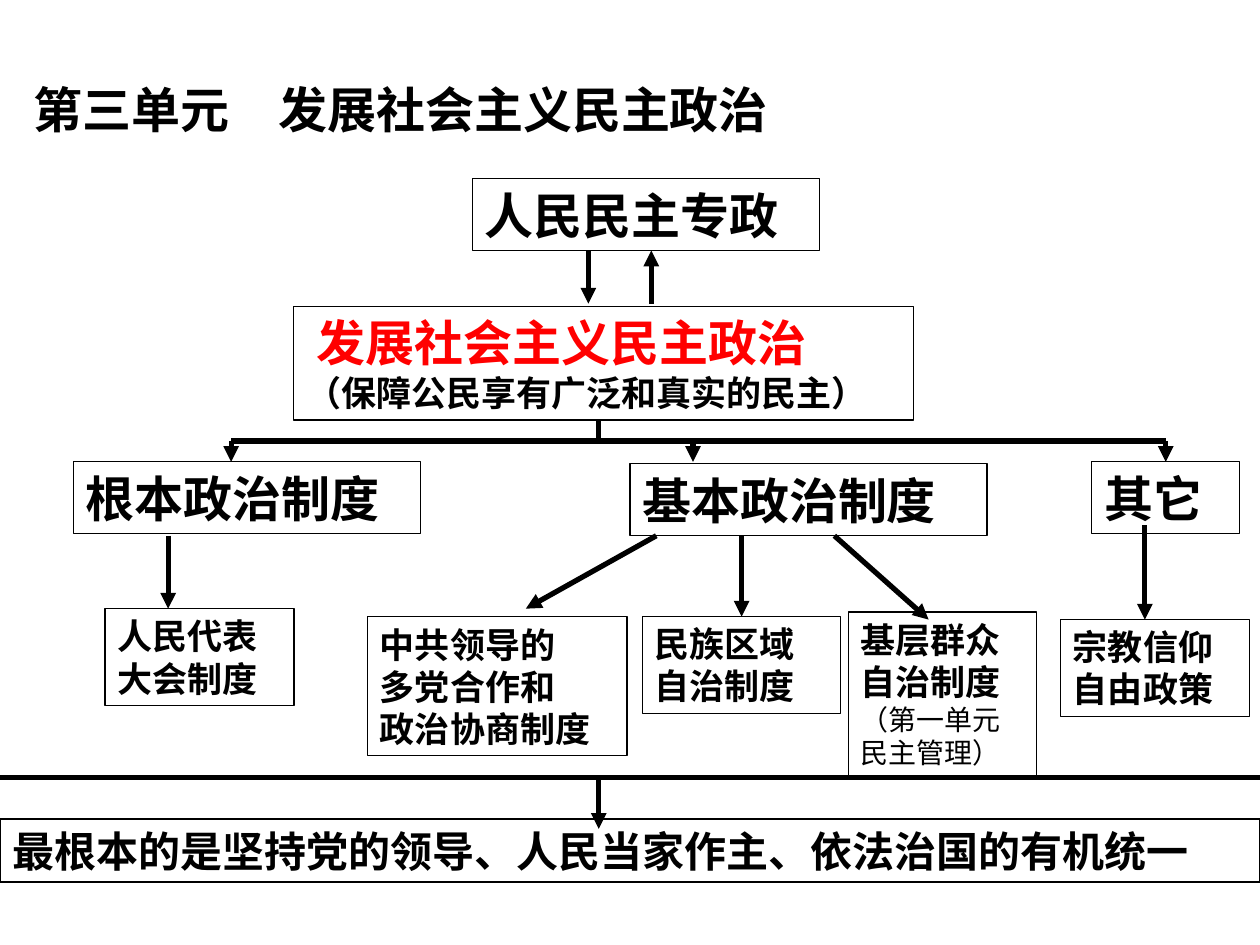
from lxml import etree
from pptx import Presentation
from pptx.dml.color import RGBColor
from pptx.enum.shapes import MSO_CONNECTOR, MSO_SHAPE
from pptx.enum.text import MSO_ANCHOR, PP_ALIGN
from pptx.oxml.ns import qn
from pptx.util import Cm, Pt

LEFT = PP_ALIGN.LEFT
MIDDLE = MSO_ANCHOR.MIDDLE
RECT = MSO_SHAPE.RECTANGLE
STRAIGHT = MSO_CONNECTOR.STRAIGHT
TOP = 0


def color(value):
    return RGBColor.from_string(value)


class Diagram:
    font = "Noto Sans CJK SC"
    ink = "000000"
    paper = "FFFFFF"
    accent = "FF0000"
    thin, thick = Pt(0.75), Pt(3)

    def __init__(self, slide):
        self.s = slide

    def format(self, p, size, bold=True, ink=None, indent=0):
        p.alignment = LEFT
        pPr = p._p.get_or_add_pPr()
        if indent:
            pPr.set("marL", str(Cm(indent)))
        f = p.font
        f.size, f.bold, f.name = Pt(size), bold, self.font
        f.color.rgb = color(ink or self.ink)
        ea = etree.SubElement(pPr.find(qn("a:defRPr")), qn("a:ea"))
        ea.set("typeface", self.font)

    def title(self, text, x, y, w, h):
        sp = self.s.shapes.title
        sp.left, sp.top, sp.width, sp.height = Cm(x), Cm(y), Cm(w), Cm(h)
        tf = sp.text_frame
        tf.vertical_anchor = MIDDLE
        tf.text = text
        self.format(tf.paragraphs[0], 28)

    def box(self, x, y, w, h, *paragraphs):
        """Each paragraph is a text and a dict of arguments for format()."""
        sp = self.s.shapes.add_shape(RECT, Cm(x), Cm(y), Cm(w), Cm(h))
        sp.shadow.inherit = False
        sp.fill.solid()
        sp.fill.fore_color.rgb = color(self.paper)
        sp.line.color.rgb = color(self.ink)
        sp.line.width = self.thin
        tf = sp.text_frame
        tf.word_wrap = True
        tf.vertical_anchor = MIDDLE
        for i, (text, style) in enumerate(paragraphs):
            p = tf.add_paragraph() if i else tf.paragraphs[0]
            p.text = text
            self.format(p, **style)
        return sp

    def line(self, x1, y1, x2, y2, arrow=False, to=None):
        """Draw a thick line; `to` is a box whose top middle it joins."""
        cn = self.s.shapes.add_connector(STRAIGHT, Cm(x1), Cm(y1), Cm(x2), Cm(y2))
        cn.line.color.rgb = color(self.ink)
        cn.line.width = self.thick
        if arrow:
            tail = etree.SubElement(cn.line._get_or_add_ln(), qn("a:tailEnd"))
            tail.set("type", "triangle")
        etree.SubElement(cn._element.spPr, qn("a:effectLst"))
        if to is not None:
            cn.end_connect(to, TOP)


def main():
    prs = Presentation()
    prs.slide_width, prs.slide_height = Cm(25.4), Cm(19.05)
    d = Diagram(prs.slides.add_slide(prs.slide_layouts[5]))
    head, item = {"size": 28}, {"size": 20}

    d.title("第三单元　发展社会主义民主政治", 0.43, 1.47, 17.98, 1.45)

    # State and its democratic politics
    d.box(9.52, 3.6, 7, 1.45, ("人民民主专政", head))
    d.box(5.92, 6.18, 12.5, 2.29,
          ("发展社会主义民主政治", {"size": 28, "ink": d.accent, "indent": 0.22}),
          ("（保障公民享有广泛和真实的民主）", item))
    d.line(11.86, 5.05, 11.86, 6.12, arrow=True)
    d.line(13.13, 6.12, 13.13, 5.05, arrow=True)

    # Three kinds of institution
    d.box(1.48, 9.31, 7, 1.45, ("根本政治制度", head))
    d.box(12.7, 9.35, 7.2, 1.45, ("基本政治制度", head))
    other = d.box(22.01, 9.31, 2.98, 1.45, ("其它", head))
    bus = 8.89
    d.line(12.07, 8.47, 12.07, bus)
    d.line(4.66, bus, 23.5, bus)
    for x, target in ((4.66, None), (13.97, None), (23.5, other)):
        d.line(x, bus, x, 9.31, arrow=True, to=target)

    # Concrete institutions
    d.box(2.12, 12.27, 3.81, 1.95, ("人民代表\n大会制度", item))
    d.box(7.41, 12.43, 5.23, 2.8, ("中共领导的\n多党合作和\n政治协商制度", item))
    regional = d.box(12.95, 12.43, 4, 1.95, ("民族区域\n自治制度", item))
    d.box(17.1, 12.34, 3.8, 3.3, ("基层群众\n自治制度", item),
          ("（第一单元民主管理）", {"size": 16, "bold": False}))
    d.box(21.38, 12.49, 3.81, 1.95, ("宗教信仰\n自由政策", item))
    d.line(3.39, 10.8, 3.39, 12.27, arrow=True)
    d.line(13.23, 10.8, 10.6, 12.27, arrow=True)
    d.line(14.95, 10.8, 14.95, 12.43, arrow=True, to=regional)
    d.line(16.82, 10.8, 18.72, 12.49, arrow=True)
    d.line(23.08, 10.59, 23.08, 12.49, arrow=True)

    # Conclusion
    d.box(0, 16.51, 25.4, 1.27,
          ("最根本的是坚持党的领导、人民当家作主、依法治国的有机统一", {"size": 24}))
    d.line(0, 15.67, 25.4, 15.67)
    d.line(12.07, 15.67, 12.07, 16.71, arrow=True)

    prs.save("out.pptx")


if __name__ == "__main__":
    main()
